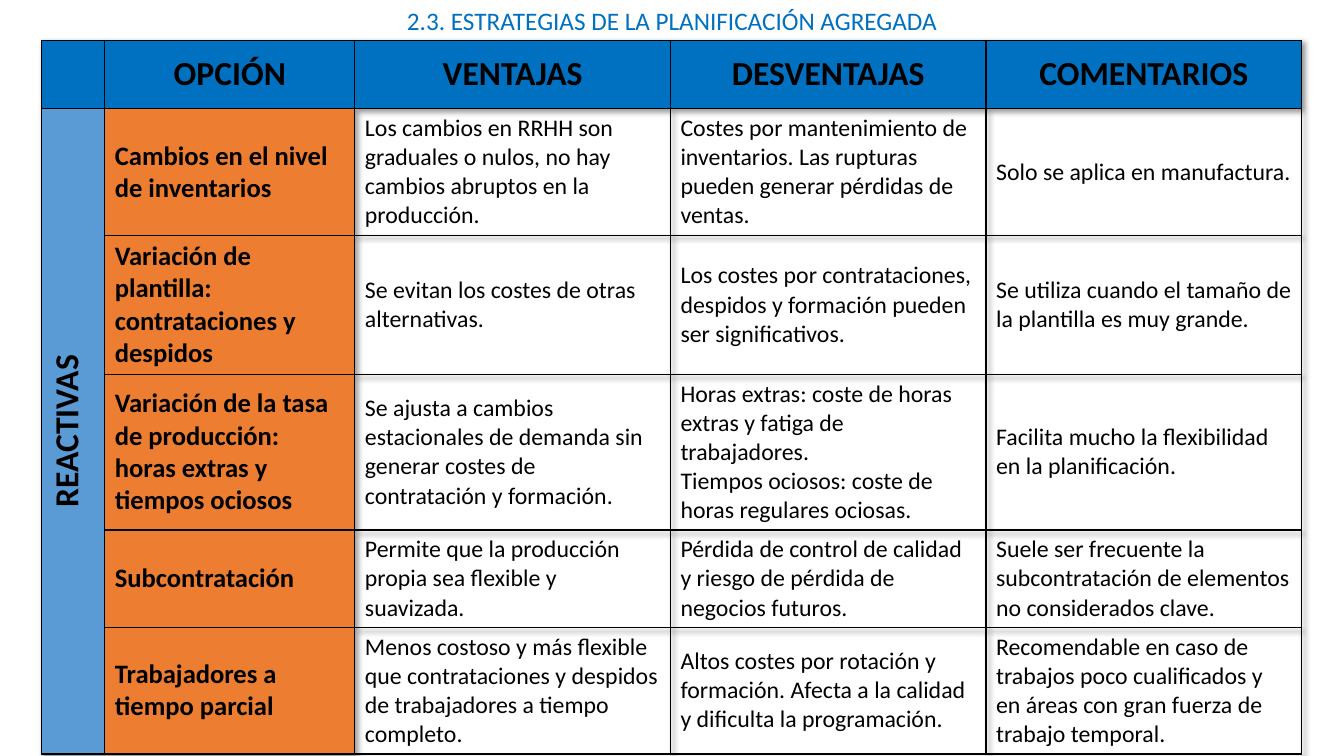
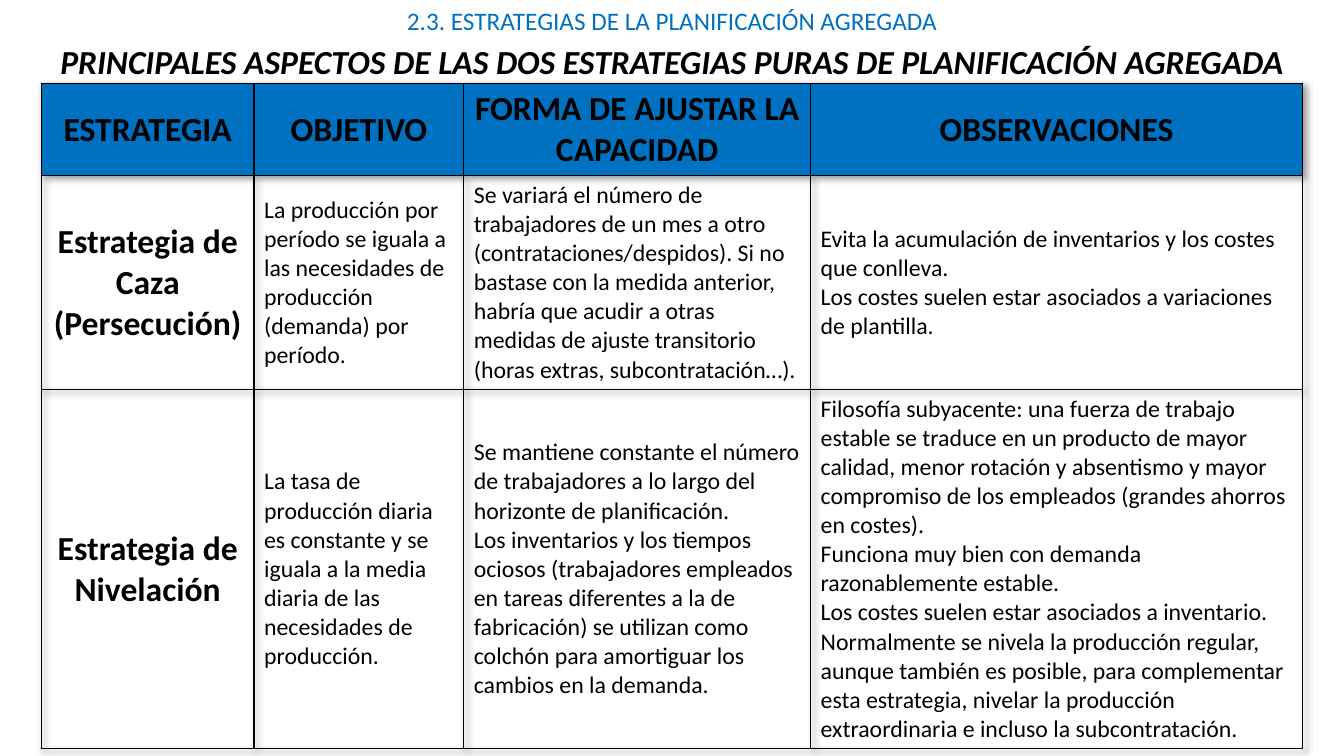
"""Build two slides of tables on aggregate planning strategies."""
from lxml import etree
from pptx import Presentation
from pptx.dml.color import RGBColor
from pptx.enum.text import MSO_ANCHOR, MSO_AUTO_SIZE, PP_ALIGN
from pptx.oxml import parse_xml
from pptx.oxml.ns import nsdecls, qn
from pptx.util import Inches, Pt

MIDDLE = MSO_ANCHOR.MIDDLE
NO_FIT = MSO_AUTO_SIZE.NONE
LEFT, CENTER = PP_ALIGN.LEFT, PP_ALIGN.CENTER
BLUE = RGBColor(0x00, 0x70, 0xC0)
LIGHT_BLUE = RGBColor(0x5B, 0x9B, 0xD5)
ORANGE = RGBColor(0xED, 0x7D, 0x31)
BLACK = RGBColor(0x00, 0x00, 0x00)
FONT = "Calibri"
TABLE_LEFT, TABLE_WIDTH = 0.41, 12.51
SECTION = "2.3. ESTRATEGIAS DE LA PLANIFICACIÓN AGREGADA"
TABLE_SHADOW = (
    f'<a:effectLst {nsdecls("a")}>'
    '<a:outerShdw blurRad="50800" dist="38100" dir="2700000" algn="tl" rotWithShape="0">'
    '<a:prstClr val="black"><a:alpha val="40000"/></a:prstClr>'
    '</a:outerShdw></a:effectLst>'
)

OPTIONS = [
    ["", "OPCIÓN", "VENTAJAS", "DESVENTAJAS", "COMENTARIOS"],
    ["REACTIVAS", "Cambios en el nivel de inventarios",
     "Los cambios en RRHH son graduales o nulos, no hay cambios abruptos en la producción.",
     "Costes por mantenimiento de inventarios. Las rupturas pueden generar pérdidas de ventas.",
     "Solo se aplica en manufactura."],
    ["", "Variación de plantilla: contrataciones y despidos",
     "Se evitan los costes de otras alternativas.",
     "Los costes por contrataciones, despidos y formación pueden ser significativos.",
     "Se utiliza cuando el tamaño de la plantilla es muy grande."],
    ["", "Variación de la tasa de producción: horas extras y tiempos ociosos",
     "Se ajusta a cambios estacionales de demanda sin generar costes de contratación y formación.",
     "Horas extras: coste de horas extras y fatiga de trabajadores.\n"
     "Tiempos ociosos: coste de horas regulares ociosas.",
     "Facilita mucho la flexibilidad en la planificación."],
    ["", "Subcontratación",
     "Permite que la producción propia sea flexible y suavizada.",
     "Pérdida de control de calidad y riesgo de pérdida de negocios futuros.",
     "Suele ser frecuente la subcontratación de elementos no considerados clave."],
    ["", "Trabajadores a tiempo parcial",
     "Menos costoso y más flexible que contrataciones y despidos de trabajadores a tiempo completo.",
     "Altos costes por rotación y formación. Afecta a la calidad y dificulta la programación.",
     "Recomendable en caso de trabajos poco cualificados y en áreas con gran fuerza de trabajo "
     "temporal."],
]

STRATEGIES = [
    ["ESTRATEGIA", "OBJETIVO", "FORMA DE AJUSTAR LA CAPACIDAD", "OBSERVACIONES"],
    ["Estrategia de Caza\n(Persecución)",
     "La producción por período se iguala a las necesidades de producción (demanda) por período.",
     "Se variará el número de trabajadores de un mes a otro (contrataciones/despidos). Si no "
     "bastase con la medida anterior, habría que acudir a otras medidas de ajuste transitorio "
     "(horas extras, subcontratación…).",
     "Evita la acumulación de inventarios y los costes que conlleva.\n"
     "Los costes suelen estar asociados a variaciones de plantilla."],
    ["Estrategia de Nivelación",
     "La tasa de producción diaria es constante y se iguala a la media diaria de las necesidades "
     "de producción.",
     "Se mantiene constante el número de trabajadores a lo largo del horizonte de planificación.\n"
     "Los inventarios y los tiempos ociosos (trabajadores empleados en tareas diferentes a la de "
     "fabricación) se utilizan como colchón para amortiguar los cambios en la demanda.",
     "Filosofía subyacente: una fuerza de trabajo estable se traduce en un producto de mayor "
     "calidad, menor rotación y absentismo y mayor compromiso de los empleados (grandes ahorros "
     "en costes).\n"
     "Funciona muy bien con demanda razonablemente estable.\n"
     "Los costes suelen estar asociados a inventario.\n"
     "Normalmente se nivela la producción regular, aunque también es posible, para complementar "
     "esta estrategia, nivelar la producción extraordinaria e incluso la subcontratación."],
]

HEADER_STYLE = (24, True, CENTER, BLUE)
GROUP_STYLE = (24, True, CENTER, LIGHT_BLUE)
OPTION_STYLE = (19, True, LEFT, ORANGE)
STRATEGY_STYLE = (24, True, CENTER, None)
DETAIL_STYLE = (17, False, LEFT, None)


def format_text(frame, size, bold, align, color, italic=False):
    for paragraph in frame.paragraphs:
        paragraph.alignment = align
        paragraph.font.name = FONT
        paragraph.font.size = Pt(size)
        paragraph.font.bold = bold
        paragraph.font.italic = italic
        paragraph.font.color.rgb = color


def add_strategy_table(slide, top, widths, heights, rows, lead_styles):
    frame = slide.shapes.add_table(len(rows), len(widths), Inches(TABLE_LEFT), Inches(top),
                                   Inches(TABLE_WIDTH), Inches(sum(heights)))
    table = frame.table
    table.first_row = table.horz_banding = False
    table._tbl.tblPr.insert(0, parse_xml(TABLE_SHADOW))
    for column, width in zip(table.columns, widths):
        column.width = Inches(width)
    for row, height in zip(table.rows, heights):
        row.height = Inches(height)
    for r, texts in enumerate(rows):
        for c, text in enumerate(texts):
            if r == 0:
                style = HEADER_STYLE
            else:
                style = lead_styles[c] if c < len(lead_styles) else DETAIL_STYLE
            size, bold, align, fill = style
            cell = table.cell(r, c)
            cell.vertical_anchor = MIDDLE
            properties = cell._tc.get_or_add_tcPr()
            for side in ("a:lnL", "a:lnR", "a:lnT", "a:lnB"):
                line = etree.SubElement(properties, qn(side), w=str(Pt(1)))
                solid = etree.SubElement(line, qn("a:solidFill"))
                etree.SubElement(solid, qn("a:srgbClr"), val=str(BLACK))
            if fill is None:
                cell.fill.background()
            else:
                cell.fill.solid()
                cell.fill.fore_color.rgb = fill
            if text:
                cell.text_frame.text = text
                format_text(cell.text_frame, size, bold, align, BLACK)
    return table


prs = Presentation()
prs.slide_width, prs.slide_height = Inches(13.33), Inches(7.5)
title_only = prs.slide_layouts[5]

slides = []
for _ in range(2):
    slide = prs.slides.add_slide(title_only)
    title = slide.shapes.title
    title.left, title.top = Inches(0), Inches(0)
    title.width, title.height = prs.slide_width, Inches(0.4)
    title.text_frame.text = SECTION
    title.text_frame.auto_size = NO_FIT
    title.text_frame.vertical_anchor = MIDDLE
    format_text(title.text_frame, 18, False, CENTER, BLUE)
    slides.append(slide)
options_slide, strategies_slide = slides

options = add_strategy_table(
    options_slide, 0.4, [0.63, 2.48, 3.13, 3.13, 3.13],
    [0.68, 1.24, 1.36, 1.52, 0.94, 1.24], OPTIONS, [GROUP_STYLE, OPTION_STYLE])
reactive = options.cell(1, 0)
reactive.merge(options.cell(5, 0))
reactive._tc.tcPr.set("vert", "vert270")

add_strategy_table(
    strategies_slide, 0.83, [2.11, 2.08, 3.44, 4.88],
    [0.9, 2.08, 3.5], STRATEGIES, [STRATEGY_STYLE])
heading = strategies_slide.shapes.add_textbox(
    Inches(TABLE_LEFT), Inches(0.36), Inches(TABLE_WIDTH), Inches(0.5)).text_frame
heading.word_wrap = True
heading.text = "PRINCIPALES ASPECTOS DE LAS DOS ESTRATEGIAS PURAS DE PLANIFICACIÓN AGREGADA"
format_text(heading, 24, True, CENTER, BLACK, italic=True)

prs.save("out.pptx")
